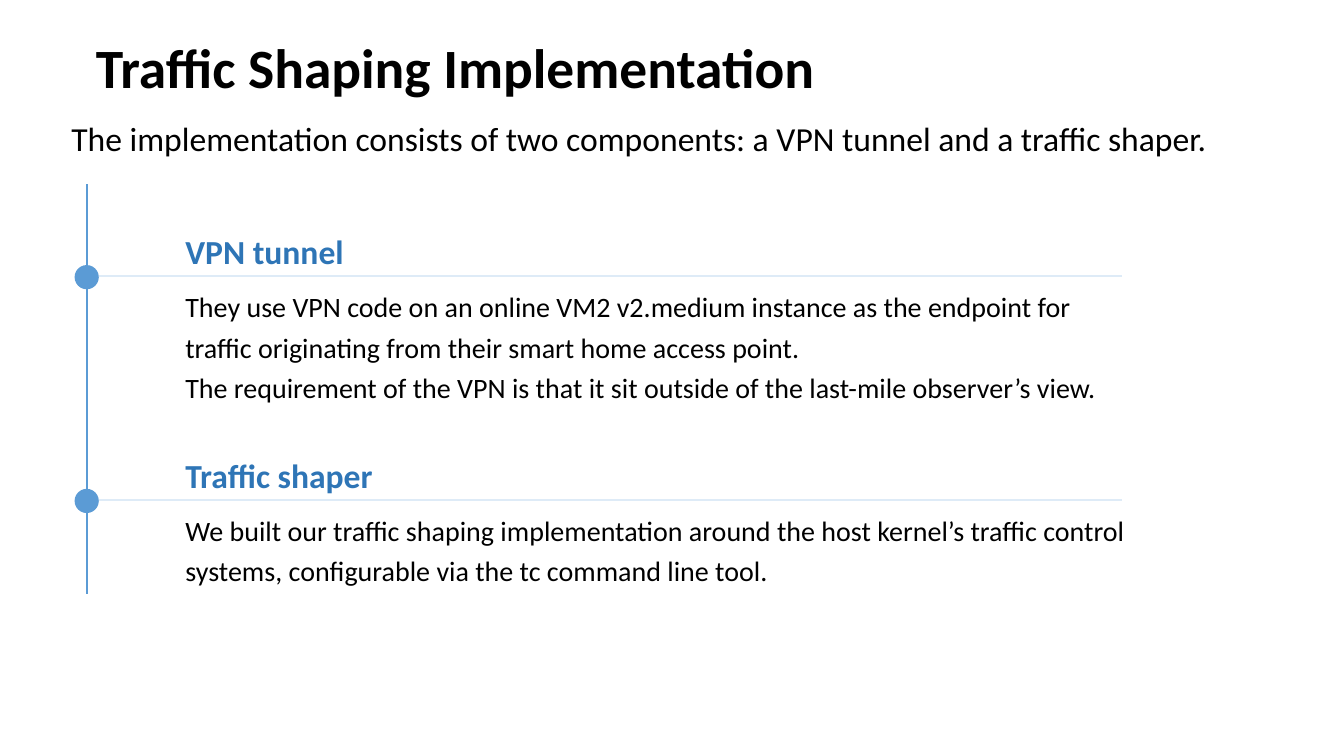
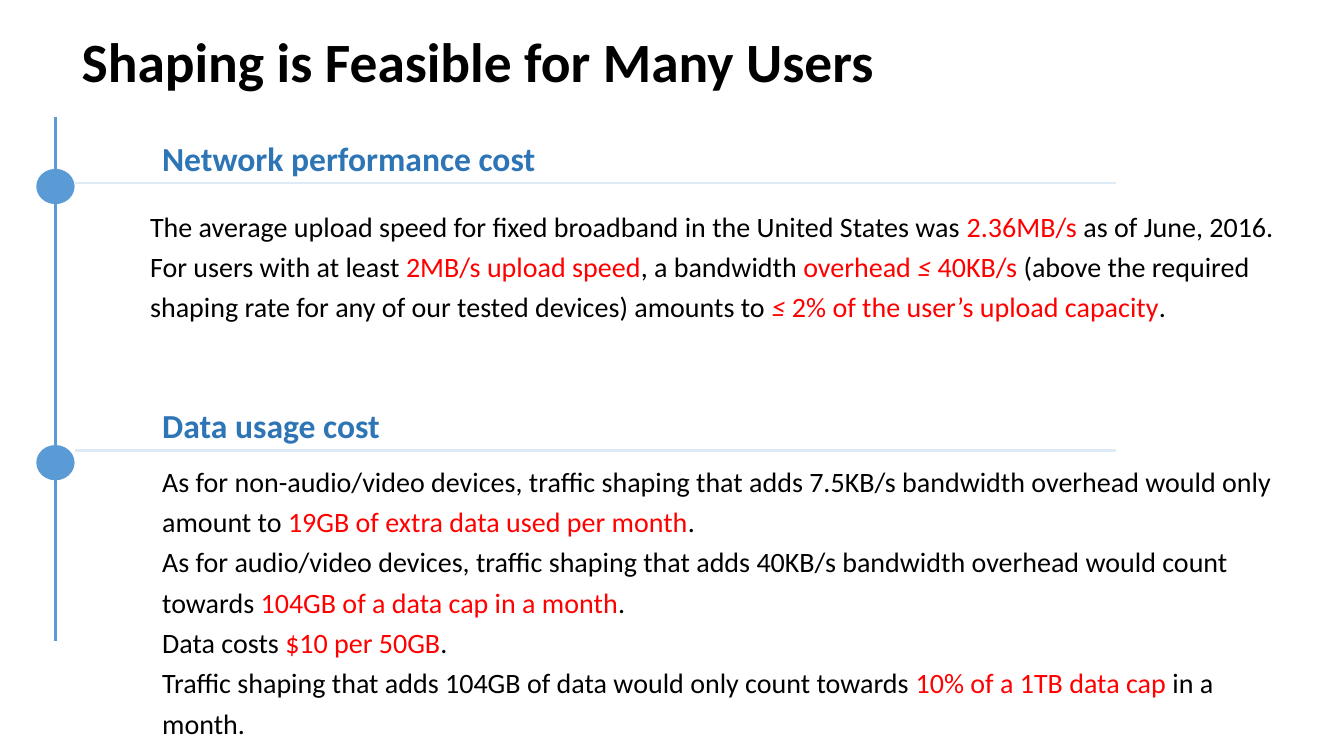
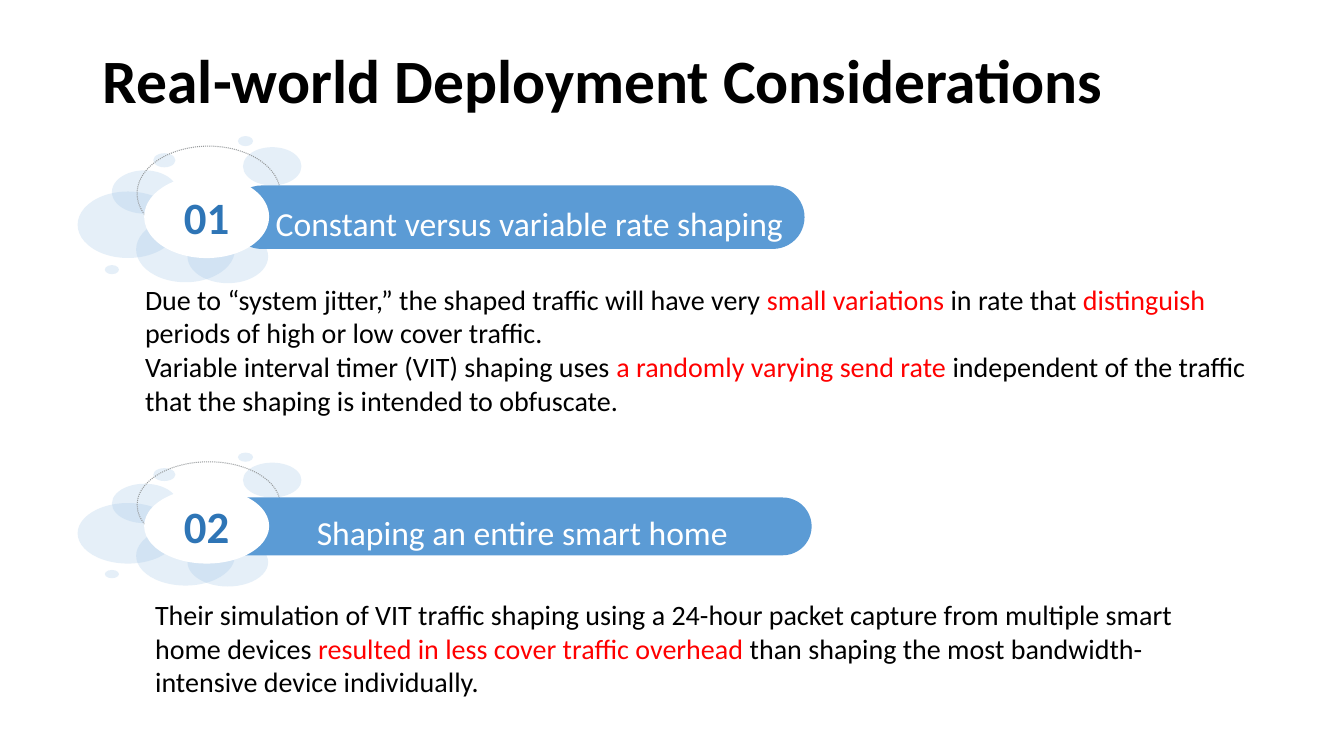
import pptx
import pptx.util
import pptx.dml.color
import pptx.enum.dml
import pptx.enum.shapes
import pptx.enum.text
import pptx.oxml
import pptx.oxml.ns

Inches = pptx.util.Inches
Pt = pptx.util.Pt
SHAPE = pptx.enum.shapes.MSO_SHAPE
ALIGN = pptx.enum.text.PP_ALIGN
ANCHOR = pptx.enum.text.MSO_ANCHOR

FONT = "Calibri"
BLACK, WHITE, RED = "000000", "FFFFFF", "FF0000"
BLUE, DARK_BLUE, PALE_BLUE = "5B9BD5", "2E75B6", "DEEBF7"
BUBBLE, GREY = "9DC3E6", "979A9C"
RED_MARK, ITALIC_MARK = "|", "_"

BUBBLES = [
    (0.58, 0.80, 0.98, 0.65),
    (1.64, 0.11, 0.58, 0.38),
    (0.00, 0.55, 1.00, 0.66),
    (1.09, 0.93, 0.80, 0.53),
    (0.34, 0.34, 0.65, 0.43),
    (1.59, 0.00, 0.15, 0.10),
    (0.75, 0.17, 0.22, 0.14),
    (0.27, 1.28, 0.14, 0.09),
]


def rgb(color):
    return pptx.dml.color.RGBColor.from_string(color)


def style(r, size, color, bold=False, italic=False):
    r.font.name = FONT
    r.font.size = Pt(size)
    r.font.color.rgb = rgb(color)
    r.font.bold = bold
    r.font.italic = italic


def label(sp, text, size, color, bold=False, align=ALIGN.LEFT, spacing=1.0):
    p = sp.text_frame.paragraphs[0]
    p.text = text
    p.alignment = align
    p.line_spacing = spacing
    style(p.runs[0], size, color, bold)


def add_title(s, box, text, size=39.6):
    sp = s.shapes.title
    sp.left, sp.top, sp.width, sp.height = map(Inches, box)
    sp.text_frame.word_wrap = True
    sp.text_frame.vertical_anchor = ANCHOR.MIDDLE
    label(sp, text, size, BLACK, True, spacing=0.9)


def add_box(s, box, anchor=ANCHOR.TOP):
    sp = s.shapes.add_textbox(*map(Inches, box))
    sp.text_frame.word_wrap = True
    sp.text_frame.vertical_anchor = anchor
    return sp


def add_body(s, box, lines, spacing=1.0):
    tf = add_box(s, box).text_frame
    for n, line in enumerate(lines):
        p = tf.paragraphs[0] if n == 0 else tf.add_paragraph()
        p.line_spacing = spacing
        for i, part in enumerate(line.split(RED_MARK)):
            for j, text in enumerate(part.split(ITALIC_MARK)):
                if text:
                    r = p.add_run()
                    r.text = text
                    style(r, 20, RED if i % 2 else BLACK, italic=bool(j % 2))


def add_line(s, x1, y1, x2, y2, color):
    c = s.shapes.add_connector(
        pptx.enum.shapes.MSO_CONNECTOR.STRAIGHT, *map(Inches, (x1, y1, x2, y2)))
    c.line.color.rgb = rgb(color)
    c.line.width = Pt(1.5)
    c._element.spPr.append(pptx.oxml.parse_xml(
        f"<a:effectLst {pptx.oxml.ns.nsdecls('a')}/>"))


def add_shape(s, kind, box, fill=None, alpha=None):
    sp = s.shapes.add_shape(kind, *map(Inches, box))
    sp.shadow.inherit = False
    sp.line.fill.background()
    if fill is None:
        sp.fill.background()
        return sp
    sp.fill.solid()
    sp.fill.fore_color.rgb = rgb(fill)
    if alpha is not None:
        clr = sp._element.spPr.find(".//" + pptx.oxml.ns.qn("a:srgbClr"))
        clr.append(pptx.oxml.parse_xml(
            f"<a:alpha {pptx.oxml.ns.nsdecls('a')} val='{alpha * 1000}'/>"))
    return sp


def set_insets(sp, left=0):
    tf = sp.text_frame
    tf.margin_left = Inches(left)
    tf.margin_top = tf.margin_right = tf.margin_bottom = 0
    tf.vertical_anchor = ANCHOR.MIDDLE


def add_timeline(s, x, top, bottom, dot, rule_end, text_x, entries):
    dot_w, dot_h = dot
    add_line(s, x, top, x, bottom, BLUE)
    for rule_y, dot_y, heading, body_box, lines in entries:
        add_shape(s, SHAPE.OVAL,
                  (x - dot_w / 2, dot_y - dot_h / 2, dot_w, dot_h), BLUE)
        add_line(s, x + dot_w / 2, rule_y, rule_end, rule_y, PALE_BLUE)
        add_body(s, body_box, lines, 1.2)
        sp = add_box(s, (text_x, rule_y - 0.5, 8.8, 0.5), ANCHOR.BOTTOM)
        label(sp, heading, 24, DARK_BLUE, True)


def add_banner(s, left, top, scale, number, text, bar_x, bar_w):
    def place(x, y, w, h):
        return left + x, top + y * scale, w, h * scale

    for bubble in BUBBLES:
        add_shape(s, SHAPE.OVAL, place(*bubble), BUBBLE, 26)
    ring = add_shape(s, SHAPE.OVAL, place(0.59, 0.1, 1.42, 0.94))
    ring.line.color.rgb = rgb(GREY)
    ring.line.width = Pt(0.75)
    ring.line.dash_style = pptx.enum.dml.MSO_LINE.ROUND_DOT
    bar = add_shape(s, SHAPE.ROUNDED_RECTANGLE,
                    place(bar_x, 0.49, bar_w, 0.63), BLUE)
    bar.adjustments[0] = 0.5
    set_insets(bar, 0.24)
    label(bar, text, 24, WHITE, align=ALIGN.CENTER, spacing=1.3)
    badge = add_shape(s, SHAPE.OVAL, place(0.66, 0.39, 1.24, 0.82), WHITE)
    set_insets(badge)
    label(badge, number, 32, DARK_BLUE, True, ALIGN.CENTER)


def implementation_slide(s):
    add_title(s, (0.85, 0.24, 7.43, 0.92), "Traffic Shaping Implementation")
    intro = add_box(s, (0.61, 1.12, 11.8, 0.5))
    label(intro, "The implementation consists of two components: "
          "a VPN tunnel and a traffic shaper.", 24, BLACK)
    add_timeline(s, 0.86, 1.83, 5.89, (0.24, 0.24), 11.13, 1.74, [
        (2.74, 2.75, "VPN tunnel", (1.74, 2.76, 9.56, 1.06), [
            "They use VPN code on an online VM2 v2.medium instance as the endpoint "
            "for traffic originating from their smart home access point.",
            "The requirement of the VPN is that it sit outside of the last-mile "
            "observer’s view."]),
        (4.96, 4.97, "Traffic shaper", (1.74, 4.98, 9.56, 1.06), [
            "We built our traffic shaping implementation around the host kernel’s "
            "traffic control systems, configurable via the tc command line tool."]),
    ])


def feasibility_slide(s):
    add_title(s, (0.71, 0.36, 12.26, 0.57), "Shaping is Feasible for Many Users")
    add_timeline(s, 0.55, 1.16, 6.36, (0.38, 0.35), 11.07, 1.51, [
        (1.82, 1.85, "Network performance cost", (1.39, 1.96, 11.58, 1.57), [
            "The average upload speed for fixed broadband in the United States was "
            "|2.36MB/s |as of June, 2016. For users with at least "
            "|2MB/s upload speed|, a bandwidth |overhead _≤ _40KB/s |(above the "
            "required shaping rate for any of our tested devices) amounts to "
            "|_≤ _2% of the user’s upload capacity|."]),
        (4.47, 4.59, "Data usage cost", (1.51, 4.49, 11.45, 2.62), [
            "As for non-audio/video devices, traffic shaping that adds 7.5KB/s "
            "bandwidth overhead would only amount to "
            "|19GB of extra data used per month|.",
            "As for audio/video devices, traffic shaping that adds 40KB/s "
            "bandwidth overhead would count towards "
            "|104GB of a data cap in a month|.",
            "Data costs |$10 per 50GB|.",
            "Traffic shaping that adds 104GB of data would only count towards "
            "|10% of a 1TB data cap |in a month."]),
    ])


def deployment_slide(s):
    add_title(s, (0.92, 0.4, 10.47, 0.86),
              "Real-world Deployment Considerations", 44)
    add_banner(s, 0.77, 1.35, 1, "01",
               "Constant versus variable rate shaping", 1.51, 5.7)
    add_body(s, (1.34, 2.75, 11.44, 1.45), [
        "Due to “system jitter,” the shaped traffic will have very "
        "|small variations| in rate that |distinguish| periods of high or low "
        "cover traffic.",
        "Variable interval timer (VIT) shaping uses |a randomly varying send rate| "
        "independent of the traffic that the shaping is intended to obfuscate."])
    add_banner(s, 0.77, 4.49, 0.91, "02",
               "Shaping an entire smart home", 1.3, 5.98)
    add_body(s, (1.44, 5.88, 10.46, 1.11), [
        "Their simulation of VIT traffic shaping using a 24-hour packet capture "
        "from multiple smart home devices |resulted in less cover traffic overhead "
        "|than shaping the most bandwidth-intensive device individually."])


def main():
    prs = pptx.Presentation()
    prs.slide_width, prs.slide_height = Inches(13.33), Inches(7.5)
    for build in (implementation_slide, feasibility_slide, deployment_slide):
        build(prs.slides.add_slide(prs.slide_layouts[5]))
    prs.save("out.pptx")


if __name__ == "__main__":
    main()
